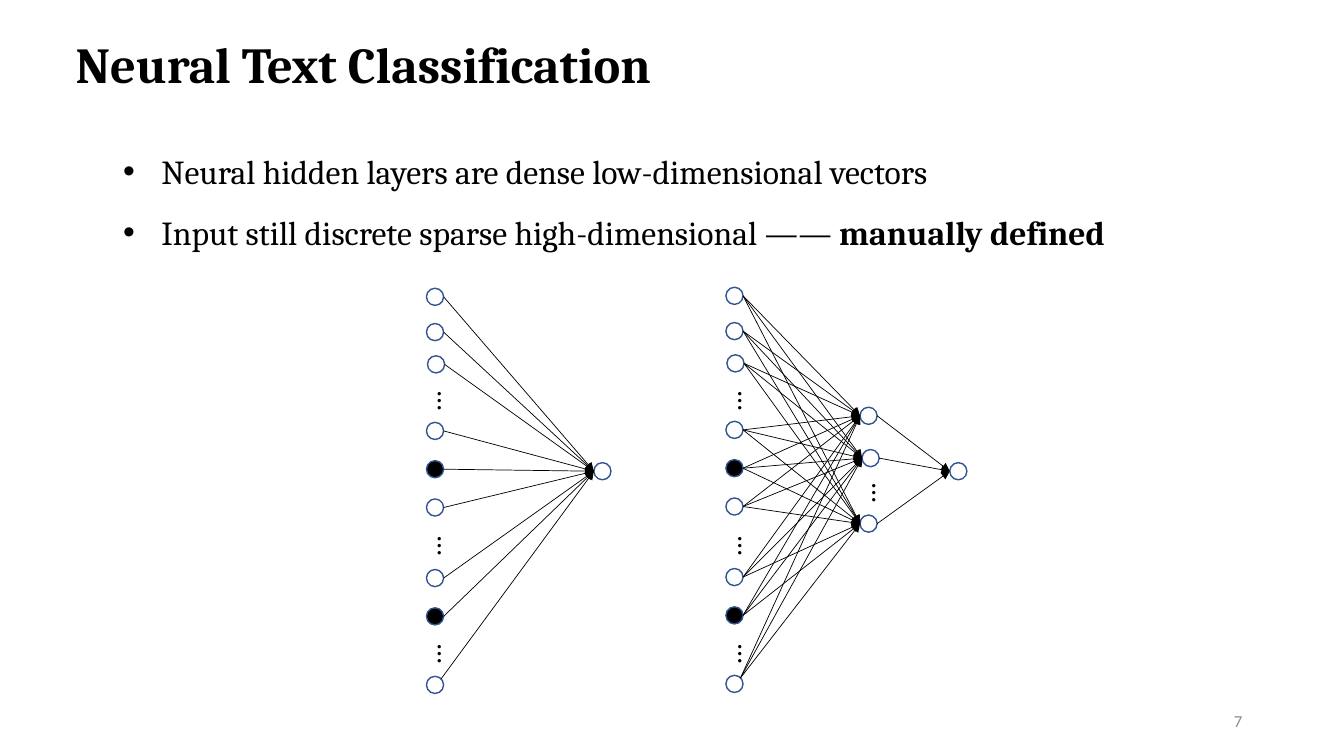
from lxml import etree
from pptx import Presentation
from pptx.dml.color import RGBColor
from pptx.enum.shapes import MSO_CONNECTOR, MSO_SHAPE
from pptx.enum.text import MSO_ANCHOR, MSO_AUTO_SIZE, PP_ALIGN
from pptx.oxml.ns import qn
from pptx.util import Inches, Pt

STRAIGHT = MSO_CONNECTOR.STRAIGHT
CIRCLE = MSO_SHAPE.FLOWCHART_CONNECTOR
TOP, MIDDLE = MSO_ANCHOR.TOP, MSO_ANCHOR.MIDDLE
LEFT, RIGHT = PP_ALIGN.LEFT, PP_ALIGN.RIGHT
NO_AUTOFIT = MSO_AUTO_SIZE.NONE

COLORS = {"black": "000000", "outline": "325491", "number": "8C8C8C"}
TITLE = "Neural Text Classification"
BULLETS = [
    [("Neural hidden layers are dense low-dimensional vectors", False)],
    [("Input still discrete sparse high-dimensional —— ", False), ("manually defined", True)],
]
SLIDE_NUMBER = "7"

DIAMETER = 0.17
# Offsets of the input neurons from the first one: across, down, active
INPUTS = [
    (0, 0, False), (0, 0.35, False), (0.01, 0.67, False),
    (0, 1.33, False), (0, 1.71, True), (0, 2.09, False),
    (0, 2.79, False), (0, 3.17, True), (0, 3.85, False),
]
INPUT_DOTS = [3.79, 5.22, 6.3]
# Each network: first input neuron, left of its dots, hidden neurons, hidden dots, output neuron
NETWORKS = [
    {"first": (4.23, 2.86), "dots_left": 4.13, "hidden": [], "hidden_dots": [], "output": (5.89, 4.59)},
    {"first": (7.2, 2.85), "dots_left": 7.11, "hidden": [(8.53, 4.04), (8.55, 4.46), (8.53, 5.11)],
     "hidden_dots": [(8.44, 4.7)], "output": (9.42, 4.59)},
]


def color(name):
    return RGBColor.from_string(COLORS[name])


def add_run(paragraph, text, size, font_name, color_name="black", bold=False):
    run = paragraph.add_run()
    run.text = text
    run.font.size = Pt(size)
    run.font.name = font_name
    run.font.bold = bold
    run.font.color.rgb = color(color_name)


def place(shape, left, top, width, height):
    shape.left, shape.top = Inches(left), Inches(top)
    shape.width, shape.height = Inches(width), Inches(height)


def add_bullet(paragraph):
    properties = paragraph._p.get_or_add_pPr()
    properties.set("marL", str(Inches(0.38)))
    properties.set("indent", str(-Inches(0.38)))
    etree.SubElement(properties, qn("a:buFont")).set("typeface", "Arial")
    etree.SubElement(properties, qn("a:buChar")).set("char", "•")


def add_neuron(slide, left, top, active=False):
    neuron = slide.shapes.add_shape(CIRCLE, Inches(left), Inches(top), Inches(DIAMETER), Inches(DIAMETER))
    neuron.shadow.inherit = False
    if active:
        neuron.fill.solid()
        neuron.fill.fore_color.rgb = color("black")
    else:
        neuron.fill.background()
    neuron.line.color.rgb = color("outline")
    neuron.line.width = Pt(1)


def add_dots(slide, left, top):
    """Add an ellipsis that runs downwards."""
    box = slide.shapes.add_textbox(Inches(left), Inches(top), Inches(0.54), Inches(0.29))
    box.text_frame.word_wrap = False
    box.text_frame._txBody.bodyPr.set("vert", "eaVert")
    add_run(box.text_frame.paragraphs[0], "…", 20, "Calibri")


def add_arrow(slide, start, end):
    arrow = slide.shapes.add_connector(STRAIGHT, *(Inches(value) for value in (*start, *end)))
    arrow.line.color.rgb = color("black")
    arrow.line.width = Pt(0.5)
    etree.SubElement(arrow.line._get_or_add_ln(), qn("a:tailEnd")).set("type", "triangle")
    etree.SubElement(arrow._element.spPr, qn("a:effectLst"))


def left_side(neuron):
    return neuron[0], neuron[1] + DIAMETER / 2


def right_side(neuron):
    return neuron[0] + DIAMETER, neuron[1] + DIAMETER / 2


def upper_right(neuron):
    return neuron[0] + 0.85 * DIAMETER, neuron[1] + 0.15 * DIAMETER


def add_network(slide, network):
    left, top = network["first"]
    inputs = [(left + across, top + down) for across, down, _ in INPUTS]
    hidden, output = network["hidden"], network["output"]

    for neuron, (_, _, active) in zip(inputs, INPUTS):
        add_neuron(slide, *neuron, active)
    for neuron in [*hidden, output]:
        add_neuron(slide, *neuron)
    for dots_top in INPUT_DOTS:
        add_dots(slide, network["dots_left"], dots_top)
    for dots in network["hidden_dots"]:
        add_dots(slide, *dots)

    starts = [right_side(neuron) for neuron in inputs[:-1]] + [upper_right(inputs[-1])]
    for target in hidden or [output]:
        for start in starts:
            add_arrow(slide, start, left_side(target))
    for neuron in hidden:
        add_arrow(slide, right_side(neuron), left_side(output))


def main():
    presentation = Presentation()
    presentation.slide_width, presentation.slide_height = Inches(13.33), Inches(7.5)
    slide = presentation.slides.add_slide(presentation.slide_layouts[1])

    title, body = slide.placeholders
    place(title, 0.65, 0.28, 8.82, 0.71)
    place(body, 1.12, 1.25, 10.76, 1.26)
    for shape in (title, body):
        shape.text_frame.auto_size = NO_AUTOFIT
        shape.text_frame.vertical_anchor = TOP
        shape.text_frame.word_wrap = True

    heading = title.text_frame.paragraphs[0]
    heading.alignment = LEFT
    add_run(heading, TITLE, 36, "Cambria", bold=True)

    for index, runs in enumerate(BULLETS):
        paragraph = body.text_frame.add_paragraph() if index else body.text_frame.paragraphs[0]
        add_bullet(paragraph)
        paragraph.line_spacing = 1.5
        paragraph.space_before = Pt(0)
        for text, bold in runs:
            add_run(paragraph, text, 24, "Cambria", bold=bold)

    for network in NETWORKS:
        add_network(slide, network)

    number = slide.shapes.add_textbox(Inches(9.42), Inches(6.95), Inches(3), Inches(0.4))
    number.text_frame.word_wrap = True
    number.text_frame.vertical_anchor = MIDDLE
    paragraph = number.text_frame.paragraphs[0]
    paragraph.alignment = RIGHT
    add_run(paragraph, SLIDE_NUMBER, 12, "Calibri", "number")

    presentation.save("out.pptx")


if __name__ == "__main__":
    main()
